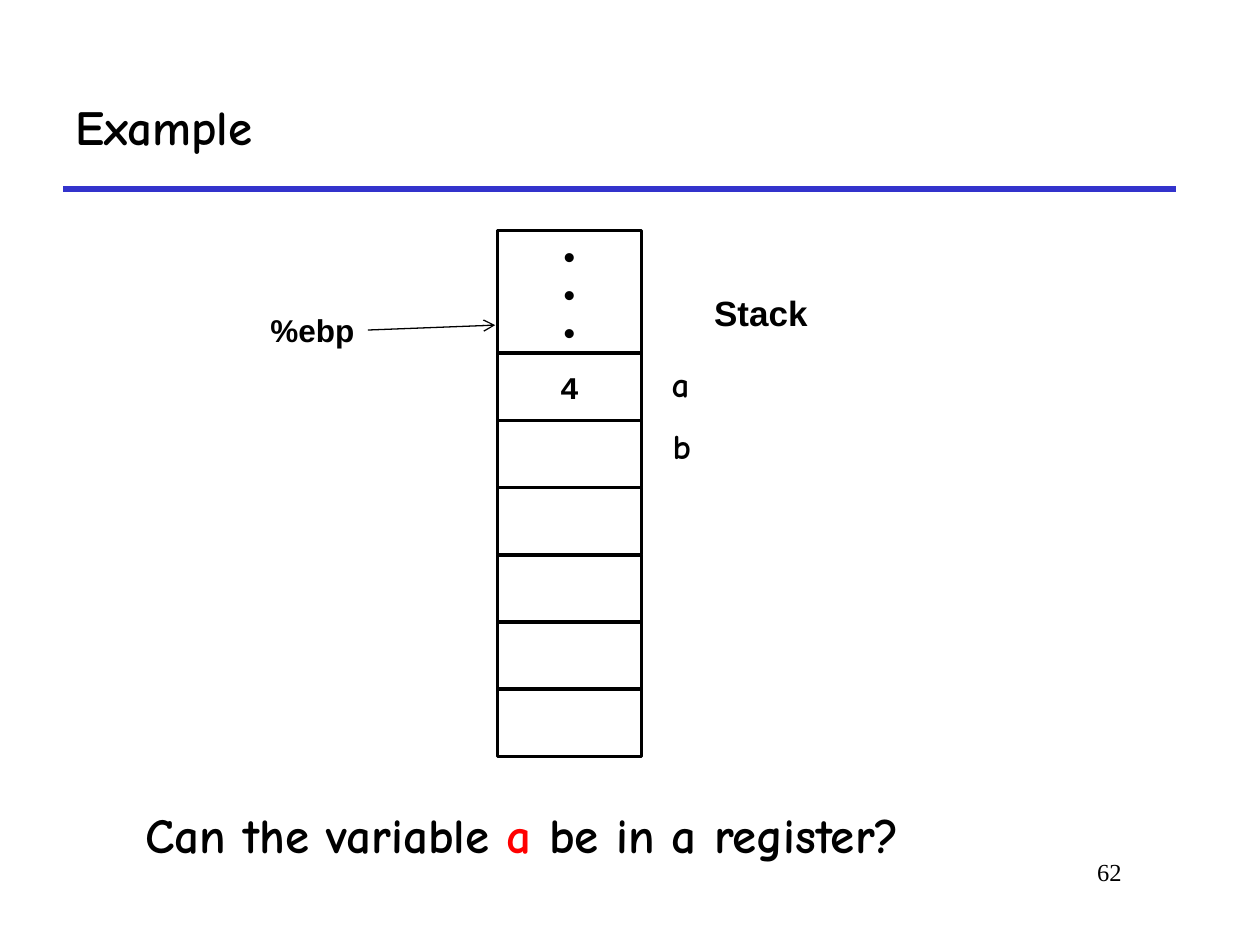
from dataclasses import dataclass

from lxml.etree import SubElement
from pptx import Presentation
from pptx.dml.color import RGBColor
from pptx.enum.shapes import MSO_CONNECTOR, MSO_SHAPE
from pptx.enum.text import MSO_ANCHOR, MSO_AUTO_SIZE, PP_ALIGN
from pptx.oxml.ns import qn
from pptx.util import Pt

COLORS = {"ink": "000000", "paper": "FFFFFF", "rule": "3333CC", "accent": "FF0000"}
HEADING_FONT = "Comic Neue"
LABEL_FONT = "Arial"

# Stack column geometry, in points
STACK_LEFT, STACK_WIDTH = 284.4, 82.1
UPPER_TOP, UPPER_HEIGHT = 131.8, 72
CELL_TOP, CELL_HEIGHT, CELL_COUNT = 201.8, 38.4, 6


@dataclass
class Cell:
    top: float
    height: float
    lines: tuple[str, ...] = ()
    font: str = LABEL_FONT


@dataclass
class Label:
    runs: tuple[tuple[str, str], ...]
    left: float
    top: float
    width: float
    height: float
    size: float
    font: str = HEADING_FONT
    bold: bool = True
    align: PP_ALIGN = PP_ALIGN.CENTER
    wrap: bool = False


def color(key: str) -> RGBColor:
    return RGBColor.from_string(COLORS[key])


def add_run(paragraph, text: str, size: float, font: str,
            bold: bool = True, color_key: str = "ink") -> None:
    run = paragraph.add_run()
    run.text = text
    for attribute, value in {"name": font, "size": Pt(size), "bold": bold}.items():
        setattr(run.font, attribute, value)
    run.font.color.rgb = color(color_key)


def draw_cell(slide, cell: Cell) -> None:
    box = slide.shapes.add_shape(MSO_SHAPE.RECTANGLE, Pt(STACK_LEFT), Pt(cell.top),
                                 Pt(STACK_WIDTH), Pt(cell.height))
    box.shadow.inherit = False
    box.fill.solid()
    box.fill.fore_color.rgb = color("paper")
    box.line.color.rgb = color("ink")
    box.line.width = Pt(2)
    frame = box.text_frame
    frame.word_wrap = False
    frame.vertical_anchor = MSO_ANCHOR.MIDDLE
    for index, line in enumerate(cell.lines):
        paragraph = frame.add_paragraph() if index else frame.paragraphs[0]
        paragraph.alignment = PP_ALIGN.CENTER
        add_run(paragraph, line, 18, cell.font)


def draw_label(slide, label: Label) -> None:
    box = slide.shapes.add_textbox(Pt(label.left), Pt(label.top),
                                   Pt(label.width), Pt(label.height))
    frame = box.text_frame
    frame.word_wrap = label.wrap
    if not label.wrap:
        frame.auto_size = MSO_AUTO_SIZE.SHAPE_TO_FIT_TEXT
    paragraph = frame.paragraphs[0]
    paragraph.alignment = label.align
    for text, color_key in label.runs:
        add_run(paragraph, text, label.size, label.font, label.bold, color_key)


def draw_line(slide, start: tuple[float, float], end: tuple[float, float],
              color_key: str, width: float, arrow: bool = False) -> None:
    line = slide.shapes.add_connector(MSO_CONNECTOR.STRAIGHT,
                                      *(Pt(value) for value in start + end))
    line.line.color.rgb = color(color_key)
    line.line.width = Pt(width)
    if arrow:
        SubElement(line.line._get_or_add_ln(), qn("a:tailEnd"), type="arrow")
    SubElement(line._element.spPr, qn("a:effectLst"))


def main() -> None:
    deck = Presentation()
    deck.slide_width, deck.slide_height = Pt(720), Pt(540)
    slide = deck.slides.add_slide(deck.slide_layouts[5])

    # Title and rule
    draw_line(slide, (36, 108), (672, 108), "rule", 3)
    title = slide.shapes.title
    for attribute, value in {"left": 36, "top": 36, "width": 636, "height": 72}.items():
        setattr(title, attribute, Pt(value))
    title.text_frame.vertical_anchor = MSO_ANCHOR.MIDDLE
    heading = title.text_frame.paragraphs[0]
    heading.alignment = PP_ALIGN.LEFT
    add_run(heading, "Example", 28, HEADING_FONT)

    # Stack: empty cells, the part above, then the cell holding a
    for row in range(1, CELL_COUNT):
        draw_cell(slide, Cell(CELL_TOP + row * CELL_HEIGHT, CELL_HEIGHT))
    draw_cell(slide, Cell(UPPER_TOP, UPPER_HEIGHT, ("•",) * 3))
    draw_cell(slide, Cell(CELL_TOP, CELL_HEIGHT, ("4",), "Courier New"))

    # Labels, question and slide number
    labels = (
        Label((("%ebp", "ink"),), 145.5, 174.2, 66, 28.8, 18, LABEL_FONT),
        Label((("Stack", "ink"),), 400, 163, 69.6, 31.7, 20, LABEL_FONT),
        Label((("a", "ink"),), 376.6, 203.8, 24.5, 31.7, 20),
        Label((("b", "ink"),), 377.3, 239, 24.5, 31.7, 20),
        Label((("Can the variable ", "ink"), ("a", "accent"),
               (" be in a register?", "ink")), 73.4, 456, 450, 41, 28),
        Label((("62", "ink"),), 545.8, 486, 102.2, 36, 14, "Times New Roman",
              bold=False, align=PP_ALIGN.RIGHT, wrap=True),
    )
    for label in labels:
        draw_label(slide, label)

    # Frame pointer
    draw_line(slide, (210.2, 188.6), (283, 185.8), "ink", 0.75, arrow=True)

    deck.save("out.pptx")


if __name__ == "__main__":
    main()
